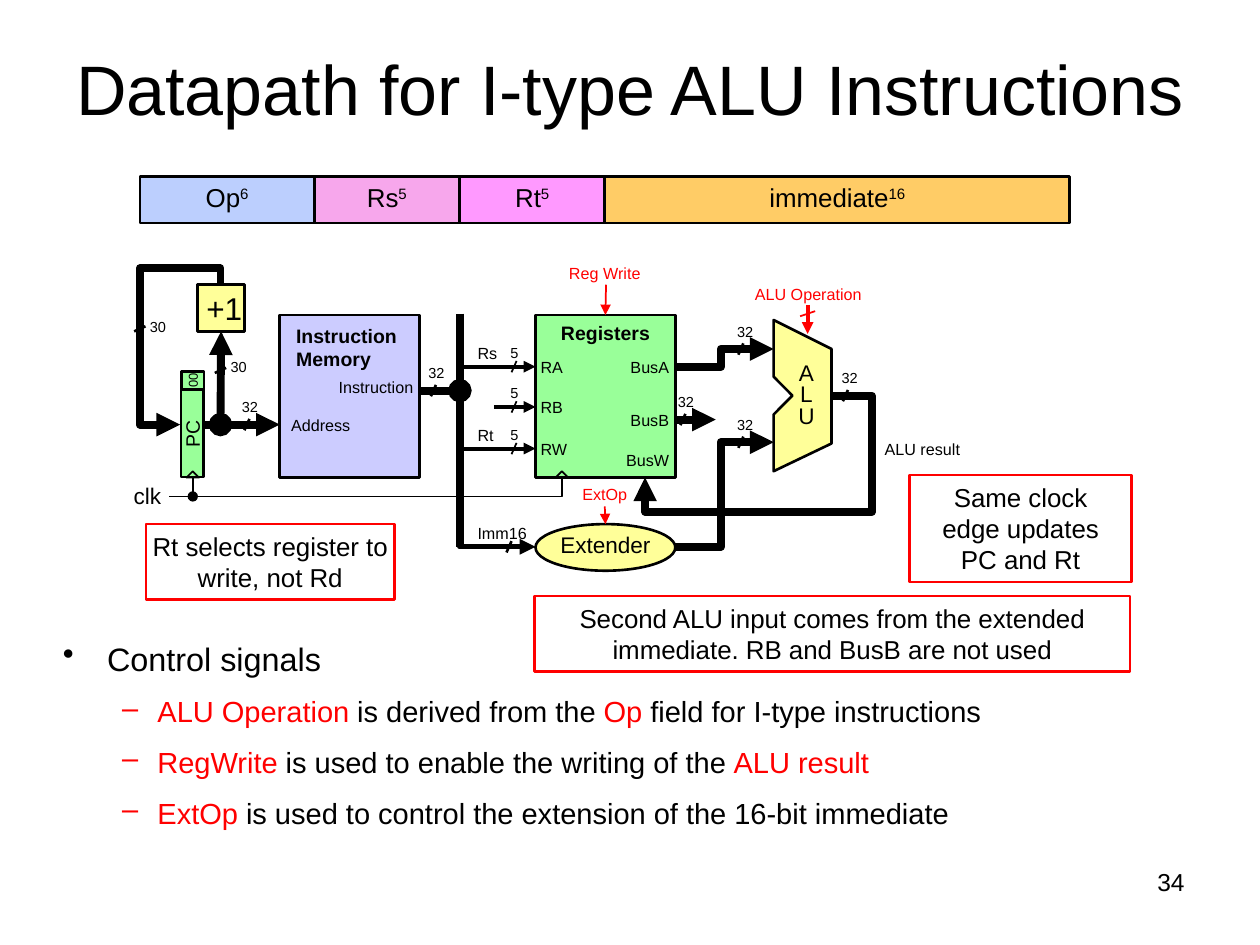
from lxml import etree
from pptx import Presentation
from pptx.dml.color import RGBColor
from pptx.enum.shapes import MSO_CONNECTOR, MSO_SHAPE
from pptx.enum.text import MSO_ANCHOR, PP_ALIGN
from pptx.oxml.ns import qn
from pptx.util import Inches, Pt

LEFT, CENTER, RIGHT = PP_ALIGN.LEFT, PP_ALIGN.CENTER, PP_ALIGN.RIGHT
TOP, MIDDLE = MSO_ANCHOR.TOP, MSO_ANCHOR.MIDDLE
RECTANGLE, OVAL = MSO_SHAPE.RECTANGLE, MSO_SHAPE.OVAL
TRIANGLE = MSO_SHAPE.ISOSCELES_TRIANGLE
STRAIGHT = MSO_CONNECTOR.STRAIGHT

BLACK = RGBColor(0x00, 0x00, 0x00)
RED = RGBColor(0xFF, 0x00, 0x00)
BLUE = RGBColor(0xBC, 0xCF, 0xFE)
PINK = RGBColor(0xF7, 0xA7, 0xEC)
MAGENTA = RGBColor(0xFF, 0x99, 0xFF)
ORANGE = RGBColor(0xFF, 0xCC, 0x66)
LAVENDER = RGBColor(0xCC, 0xCC, 0xFF)
GREEN = RGBColor(0x99, 0xFF, 0x99)
YELLOW = RGBColor(0xFF, 0xFF, 0x99)

BUS, WIRE, EDGE, THIN = 4.5, 2.25, 1.5, 1


class Diagram:
    """Draws styled elements on the current slide."""

    def __init__(self, page, font="Arial"):
        self.shapes = page.shapes
        self.font = font

    def style_font(self, para, size, color, bold=False):
        para.font.name = self.font
        para.font.size = Pt(size)
        para.font.bold = bold
        para.font.color.rgb = color

    def set_text(self, box, lines, size, color=BLACK, align=CENTER, anchor=MIDDLE,
                 insets=(0, 0, 0, 0), bold=False, spacing=None):
        frame = box.text_frame
        frame.word_wrap = True
        frame.vertical_anchor = anchor
        (frame.margin_left, frame.margin_top,
         frame.margin_right, frame.margin_bottom) = map(Inches, insets)
        for index, line in enumerate(lines.split("\n")):
            para = frame.add_paragraph() if index else frame.paragraphs[0]
            para.alignment = align
            para.line_spacing = spacing
            self.style_font(para, size, color, bold)
            para.add_run().text = line
        return frame

    def label(self, area, lines, size=9.2, **style):
        box = self.shapes.add_textbox(*map(Inches, area))
        return self.set_text(box, lines, size, **style)

    def outline(self, shape, fill, color, width):
        shape.shadow.inherit = False
        if fill is None:
            shape.fill.background()
        else:
            shape.fill.solid()
            shape.fill.fore_color.rgb = fill
        shape.line.color.rgb = color
        shape.line.width = Pt(width)

    def block(self, area, fill=None, color=BLACK, width=EDGE, kind=RECTANGLE, turn=0):
        shape = self.shapes.add_shape(kind, *map(Inches, area))
        self.outline(shape, fill, color, width)
        shape.rotation = turn
        return shape

    def tip(self, shape, **ends):
        line = shape.line._get_or_add_ln()
        for end, kind in ends.items():
            etree.SubElement(line, qn(f"a:{end}End"), type=kind)

    def line(self, start, end, width=WIRE, color=BLACK, target=None, site=0, **ends):
        wire = self.shapes.add_connector(STRAIGHT, *map(Inches, start + end))
        wire.line.color.rgb = color
        wire.line.width = Pt(width)
        self.tip(wire, **ends)
        etree.SubElement(wire._element.spPr, qn("a:effectLst"))
        if target is not None:
            wire.end_connect(target, site)

    def polygon(self, points, width=BUS, fill=None, closed=False, **ends):
        corners = [(Inches(x), Inches(y)) for x, y in points]
        builder = self.shapes.build_freeform(*corners[0])
        builder.add_line_segments(corners[1:], close=closed)
        shape = builder.convert_to_shape()
        self.outline(shape, fill, BLACK, width)
        self.tip(shape, **ends)

    def slash(self, x, y, width=EDGE, reach=(0.02, 0.045), color=BLACK):
        dx, dy = reach
        self.line((x + dx, y - dy), (x - dx, y + dy), width, color)

    def bus_width(self, x, y, bits):
        self.label((x, y, 0.18, 0.18), bits, 8.3, align=LEFT, insets=(0.03, 0, 0, 0))

    def bullets(self, area, items):
        frame = self.shapes.add_textbox(*map(Inches, area)).text_frame
        frame.word_wrap = True
        frame.margin_left = frame.margin_right = 0
        for index, (level, spans) in enumerate(items):
            para = frame.add_paragraph() if index else frame.paragraphs[0]
            para.level = level
            sign, margin, hang, size, color = (
                ("–", 0.75, 0.28, 16.6, RED) if level else ("•", 0.35, 0.35, 18.5, BLACK))
            props = para._p.get_or_add_pPr()
            props.set("marL", str(Inches(margin)))
            props.set("indent", str(-Inches(hang)))
            tint = etree.SubElement(props, qn("a:buClr"))
            etree.SubElement(tint, qn("a:srgbClr"), val=str(color))
            etree.SubElement(props, qn("a:buChar"), char=sign)
            para.space_before = Pt(9.2 if index else 0)
            self.style_font(para, size, BLACK)
            for text, tone in spans:
                span = para.add_run()
                span.text = text
                span.font.color.rgb = tone


def draw_format(diagram):
    left, bit = 1.11, 7.38 / 32
    for name, bits, fill in (("Op", 6, BLUE), ("Rs", 5, PINK),
                             ("Rt", 5, MAGENTA), ("immediate", 16, ORANGE)):
        field = diagram.block((left, 1.4, bits * bit, 0.37), fill)
        frame = diagram.set_text(field, name, 14.8, spacing=0.85)
        power = frame.paragraphs[0].add_run()
        power.text = str(bits)
        power._r.get_or_add_rPr().set("baseline", "30000")
        left += bits * bit


def draw_fetch(diagram):
    diagram.block((2.22, 2.5, 1.11, 1.29), LAVENDER)
    diagram.label((2.35, 2.5, 0.88, 0.51), "Instruction\nMemory", 11.1, align=LEFT, bold=True)
    diagram.label((2.4, 2.96, 0.88, 0.23), "Instruction", align=RIGHT)
    diagram.label((2.31, 3.23, 0.69, 0.28), "Address", align=LEFT)
    diagram.line((1.62, 3.37), (2.22, 3.37), BUS, tail="triangle")
    diagram.line((3.32, 3.1), (3.65, 3.1), BUS, tail="oval")
    counter = diagram.block((1.18, 3.35, 0.69, 0.18), GREEN, turn=270)
    diagram.set_text(counter, "PC", 11.1)
    zeros = diagram.block((1.46, 2.93, 0.14, 0.18), GREEN, turn=270)
    diagram.set_text(zeros, "00", 7.4)
    adder = diagram.block((1.57, 2.26, 0.37, 0.37), YELLOW)
    diagram.set_text(adder, "+1", 18, insets=(0.05, 0, 0, 0))
    diagram.line((1.75, 3.37), (1.75, 2.63), BUS, target=adder, site=2,
                 head="oval", tail="triangle")
    diagram.polygon([(1.75, 2.26), (1.75, 2.13), (1.11, 2.13), (1.11, 3.37), (1.43, 3.37)],
                    tail="triangle")
    diagram.line((3.65, 2.49), (3.65, 4.34), BUS)
    for x, y in ((1.11, 2.61), (1.75, 2.94)):
        diagram.slash(x, y, reach=(0.045, 0.02))


def draw_registers(diagram):
    registers = diagram.block((4.25, 2.5, 1.11, 1.29), GREEN)
    diagram.set_text(registers, "Registers", 11.1, anchor=TOP,
                     insets=(0.01, 0.05, 0.01, 0.05), bold=True)
    for port, source, start, y in (("RA", "Rs", 3.65, 2.91), ("RB", "", 3.92, 3.23),
                                   ("RW", "Rt", 3.65, 3.56)):
        diagram.line((start, y), (4.25, y), tail="triangle")
        diagram.slash(4.08, y, THIN)
        diagram.label((4.02, y - 0.18, 0.14, 0.14), "5", 8.3, align=LEFT,
                      insets=(0.03, 0, 0, 0))
        diagram.label((4.29, y - 0.14, 0.42, 0.28), port, align=LEFT)
        if source:
            diagram.label((3.79, y - 0.18, 0.18, 0.14), source, align=LEFT)
    for port, y in (("BusA", 2.82), ("BusB", 3.24), ("BusW", 3.56)):
        diagram.label((4.89, y, 0.42, 0.18), port, align=RIGHT)
    diagram.label((4.48, 2.08, 0.64, 0.18), "Reg Write", color=RED)
    diagram.line((4.81, 2.26), (4.81, 2.5), THIN, RED, registers, tail="triangle")


def draw_execute(diagram):
    diagram.line((5.35, 3.33), (5.68, 3.33), BUS, tail="triangle")
    for route in ([(6.6, 3.14), (6.92, 3.14), (6.92, 4.06), (5.12, 4.06), (5.12, 3.79)],
                  [(5.35, 2.91), (5.72, 2.91), (5.72, 2.77), (6.14, 2.77)],
                  [(5.35, 4.34), (5.72, 4.34), (5.72, 3.51), (6.14, 3.51)]):
        diagram.polygon(route, tail="triangle")
    diagram.polygon([(3.65, 4.2), (3.65, 4.34), (4.25, 4.34)], 3, tail="triangle")
    diagram.polygon([(6.14, 3.74), (6.6, 3.52), (6.6, 2.77), (6.14, 2.54),
                     (6.14, 2.99), (6.29, 3.14), (6.14, 3.29)], EDGE, YELLOW, True)
    diagram.label((6.21, 2.77, 0.38, 0.75), "A\nL\nU", 12.9, spacing=0.8)
    diagram.label((7.02, 3.42, 0.69, 0.28), "ALU result", align=LEFT)
    diagram.label((5.93, 2.24, 0.97, 0.18), "ALU Operation", color=RED)
    diagram.line((6.41, 2.42), (6.41, 2.65), WIRE, RED, tail="triangle")
    diagram.slash(6.41, 2.49, THIN, (0.06, 0.02), RED)
    extender = diagram.block((4.25, 4.16, 1.11, 0.37), YELLOW, kind=OVAL)
    diagram.set_text(extender, "Extender", 12.9, spacing=0.8)
    diagram.label((4.57, 3.83, 0.46, 0.18), "ExtOp", color=RED)
    diagram.line((4.8, 4.02), (4.8, 4.16), THIN, RED, extender, tail="triangle")
    diagram.label((3.79, 4.16, 0.46, 0.14), "Imm16", align=LEFT)


def draw_clock(diagram):
    diagram.label((1.06, 3.84, 0.28, 0.19), "clk", 12.9, align=LEFT)
    diagram.polygon([(4.46, 3.79), (4.46, 3.94), (1.34, 3.94)], THIN)
    diagram.line((1.53, 3.79), (1.53, 3.94), THIN, tail="oval")
    for x in (1.48, 4.41):
        diagram.block((x, 3.74, 0.1, 0.05), width=THIN, kind=TRIANGLE)


def main():
    deck = Presentation()
    deck.slide_width, deck.slide_height = Inches(10), Inches(7.5)
    diagram = Diagram(deck.slides.add_slide(deck.slide_layouts[6]))
    diagram.label((0.5, 0.07, 9, 1.25), "Datapath for I-type ALU Instructions", 40)
    diagram.bullets((0.5, 5.02, 9, 1.78), [
        (0, [("Control signals", BLACK)]),
        (1, [("ALU Operation ", RED), ("is derived from the ", BLACK), ("Op", RED),
             (" field for I-type instructions", BLACK)]),
        (1, [("RegWrite ", RED), ("is used to enable the writing of the ", BLACK),
             ("ALU result", RED)]),
        (1, [("ExtOp ", RED),
             ("is used to control the extension of the 16-bit immediate", BLACK)])])
    for draw in (draw_format, draw_fetch, draw_registers, draw_execute, draw_clock):
        draw(diagram)
    for x, y in ((3.44, 3.1), (1.96, 3.37), (5.42, 3.33), (5.88, 3.51),
                 (6.71, 3.14), (5.88, 2.77), (4.04, 4.34)):
        diagram.slash(x, y)
    for x, y, bits in ((3.37, 2.87, "32"), (1.89, 3.14, "32"), (1.16, 2.5, "30"),
                       (1.8, 2.82, "30"), (5.35, 3.1, "32"), (5.82, 3.28, "32"),
                       (6.65, 2.91, "32"), (5.82, 2.54, "32")):
        diagram.bus_width(x, y, bits)
    for area, side, text in (
            ((4.24, 4.73, 4.73, 0.6), 0.1,
             "Second ALU input comes from the extended immediate. RB and BusB are not used"),
            ((7.22, 3.77, 1.76, 0.85), 0.1, "Same clock edge updates PC and Rt"),
            ((1.16, 4.16, 1.97, 0.6), 0, "Rt selects register to write, not Rd")):
        note = diagram.block(area, color=RED)
        diagram.set_text(note, text, 14.8, anchor=TOP, insets=(side, 0.05, side, 0.05))
    diagram.label((7.17, 6.83, 2.33, 0.52), "34", 14, align=RIGHT, anchor=TOP,
                  insets=(0.1, 0.05, 0.1, 0.05))
    deck.save("out.pptx")


if __name__ == "__main__":
    main()
